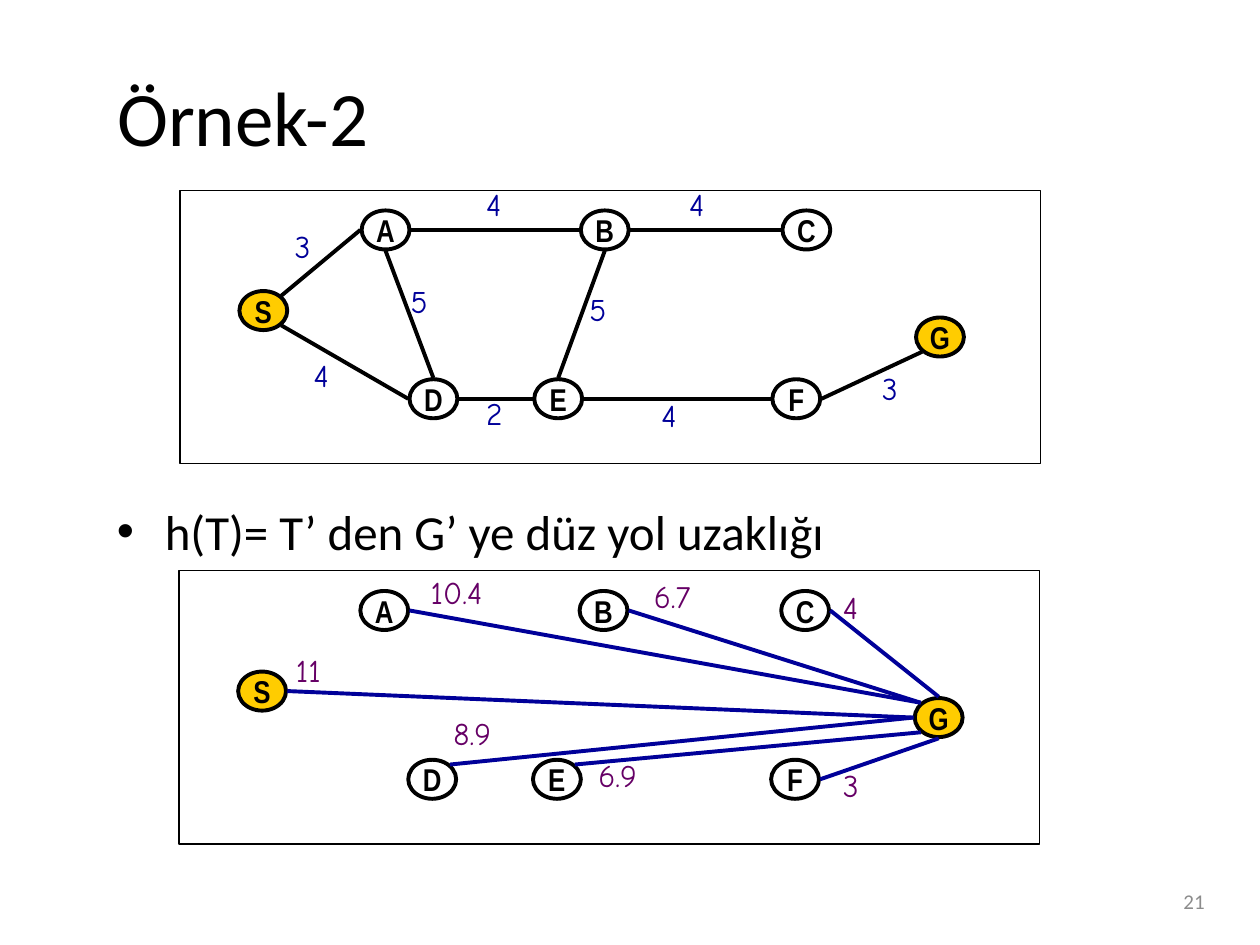
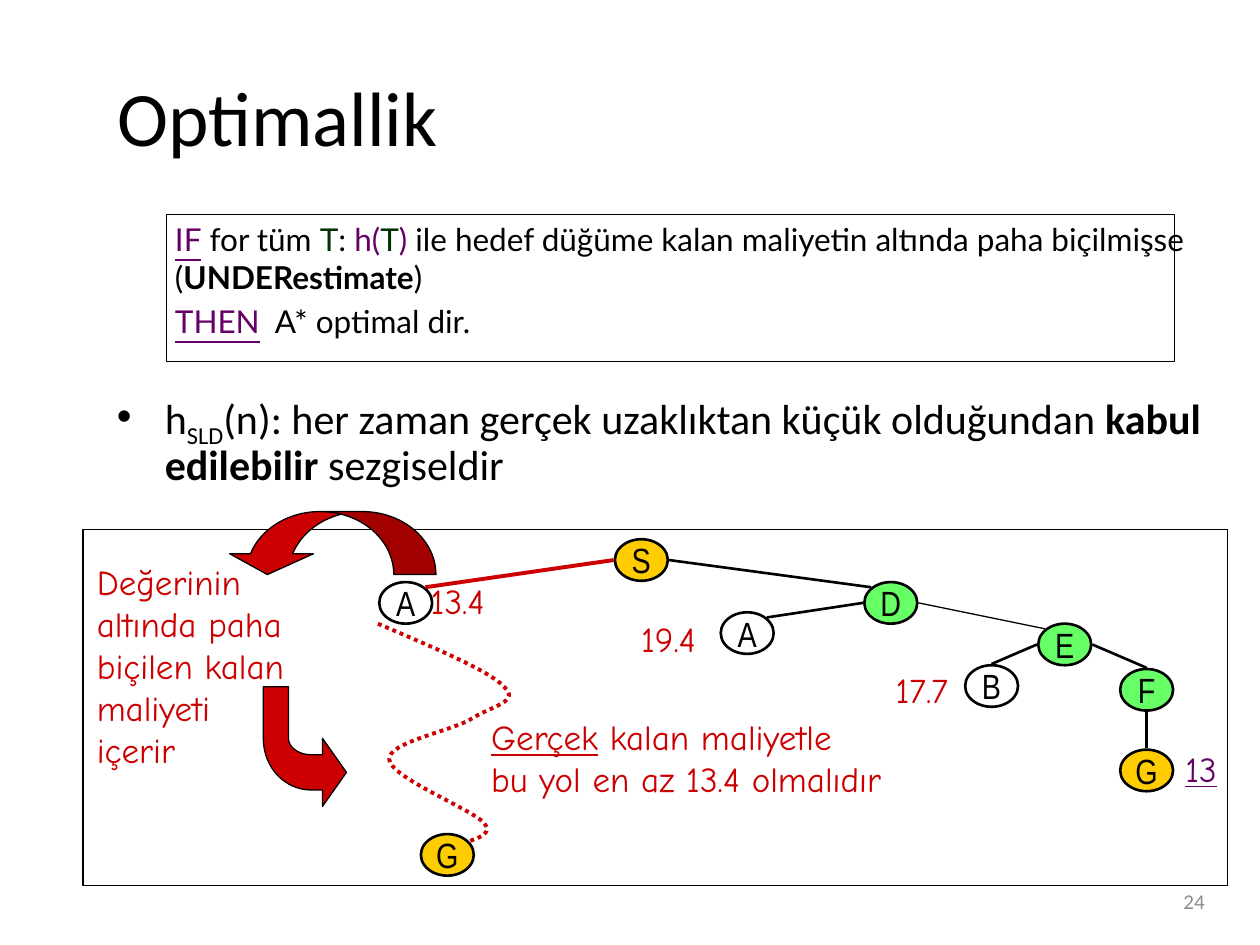
from dataclasses import dataclass, replace

from lxml import etree
from pptx import Presentation
from pptx.dml.color import RGBColor
from pptx.enum.dml import MSO_LINE
from pptx.enum.shapes import MSO_CONNECTOR, MSO_SHAPE
from pptx.enum.text import MSO_ANCHOR, MSO_AUTO_SIZE, PP_ALIGN
from pptx.oxml.ns import qn
from pptx.util import Emu, Inches, Pt

STRAIGHT = MSO_CONNECTOR.STRAIGHT
RECTANGLE, OVAL = MSO_SHAPE.RECTANGLE, MSO_SHAPE.OVAL
CURVED_ARROW = MSO_SHAPE.CURVED_UP_ARROW
DOTTED = MSO_LINE.ROUND_DOT
MIDDLE = MSO_ANCHOR.MIDDLE
LEFT, CENTER, RIGHT = PP_ALIGN.LEFT, PP_ALIGN.CENTER, PP_ALIGN.RIGHT
FIT_SHAPE = MSO_AUTO_SIZE.SHAPE_TO_FIT_TEXT

SLIDE_WIDTH, SLIDE_HEIGHT = Inches(10), Inches(7.5)
COLUMNS = 100
UNIT = SLIDE_WIDTH // COLUMNS


@dataclass(frozen=True)
class Style:
    size: float
    font: str
    color: str = "000000"
    bold: bool = False
    underline: bool = False
    baseline: int = 0


@dataclass(frozen=True)
class Theme:
    black: str = "000000"
    white: str = "FFFFFF"
    gold: str = "FFCC00"
    green: str = "66FF66"
    red: str = "CC0000"
    blue: str = "000099"
    purple: str = "660066"
    title: Style = Style(44, "Calibri")
    number: Style = Style(12, "Calibri", "8C8C8C")
    bullet: Style = Style(28, "Calibri")
    small_bullet: Style = Style(24, "Calibri")
    rule: Style = Style(18, "Lato")
    graph_node: Style = Style(18, "Arial Narrow", bold=True)
    tree_node: Style = Style(20, "Arial Narrow")
    distance: Style = Style(18, "Comic Neue", "000099")
    estimate: Style = Style(18, "Comic Neue", "660066")
    remark: Style = Style(20, "Comic Neue", "CC0000")


THEME = Theme()


@dataclass(frozen=True)
class Box:
    left: float
    top: float
    width: float
    height: float

    def inner(self, left, top, width, height):
        return Box(self.left + left, self.top + top, width, height)

    def point(self, x, y):
        return round((self.left + x) * UNIT), round((self.top + y) * UNIT)

    def place(self):
        return (*self.point(0, 0), round(self.width * UNIT), round(self.height * UNIT))


TITLE_BOX = Box(8.3, 2.9, 88.3, 12.5)
NUMBER_BOX = Box(73.3, 69.5, 23.3, 4)
SIDES = {
    "top": (0, -1), "left": (-1, 0), "bottom": (0, 1), "right": (1, 0),
    "upper left": (-0.71, -0.71), "upper right": (0.71, -0.71),
    "lower left": (-0.71, 0.71), "lower right": (0.71, 0.71),
}
GAP = 0.1

GRAPH_NODES = {
    "A": (16.3, 3.15), "B": (33.7, 3.15), "C": (49.7, 3.15),
    "S": (6.6, 9.55), "G": (60.3, 11.65),
    "D": (20.1, 16.55), "E": (30, 16.55), "F": (48.9, 16.55),
}
ROADS = [
    ("S", "lower right", "D", "left"), ("S", "upper right", "A", "left"),
    ("D", "right", "E", "left"), ("A", "right", "B", "left"),
    ("B", "right", "C", "left"), ("E", "right", "F", "left"),
    ("F", "right", "G", "lower left"), ("D", "top", "A", "bottom"),
    ("E", "top", "B", "bottom"),
]
ROAD_LENGTHS = [
    ("4", 23.3, -0.9), ("4", 9.6, 12.7), ("4", 37.2, 15.8), ("4", 39.4, -0.9),
    ("3", 8.1, 2.4), ("3", 54.7, 13.7), ("2", 23.3, 15.7), ("5", 17.3, 6.8),
    ("5", 31.5, 7.4),
]
FLIGHTS = [
    ("C", "right", "G", "top"), ("B", "right", "G", "upper left"),
    ("A", "right", "G", "upper left"), ("S", "right", "G", "left"),
    ("F", "right", "G", "bottom"), ("E", "upper right", "G", "lower left"),
    ("D", "upper right", "G", "left"),
]
FLIGHT_LENGTHS = [
    ("4", 51.7, 0.9), ("6.7", 36.7, 0), ("10.4", 19, -0.3), ("11", 8.3, 5.9),
    ("8.9", 20.8, 10.9), ("6.9", 32.3, 14.2), ("3", 51.7, 15),
]
TREE_NODES = {
    "S": (44.3, 2.45), "A": (25.6, 5.85), "D": (64.1, 5.85),
    "A lower": (52.7, 8.25), "E": (77.9, 9.15), "B": (72.1, 12.45),
    "F": (84.4, 12.75), "G": (84.4, 19.15), "G far": (28.9, 25.85),
}
BRANCHES = [
    ("S", "left", "A", "upper right", THEME.red, 2.25),
    ("S", "right", "D", "upper left", THEME.black, 1.5),
    ("D", "left", "A lower", "upper right", THEME.black, 1.5),
    ("D", "right", "E", "upper left", THEME.black, 0.75),
    ("E", "left", "B", "top", THEME.black, 1.5),
    ("E", "right", "F", "top", THEME.black, 1.5),
    ("F", "bottom", "G", "top", THEME.black, 1.5),
]
TREE_COSTS = [("13.4", 26.6, 3.5), ("19.4", 43.3, 6.5), ("17.7", 63.5, 10.6)]
REMAINING_PATH = [
    (23.4, 7.5), (27.8, 9.4, 32.2, 11.2, 33.4, 12.5),
    (34.7, 13.7, 32.5, 14, 30.9, 15), (29.4, 16, 24.1, 16.9, 24.3, 18.3),
    (24.4, 19.7, 30.8, 22.2, 31.8, 23.3), (32.8, 24.4, 30.4, 24.7, 30.1, 25),
]
BENT_ARROW = [
    (20.9, 19.3), (19, 22), (19, 20.7), (18.1, 20.7),
    (16, 20.7, 14.3, 18.9, 14.3, 16.6), (14.3, 12.5), (16.3, 12.5),
    (16.3, 16.6), (16.3, 17.3, 17.1, 17.9, 18.1, 17.9), (19, 17.9), (19, 16.6),
]


def add_run(paragraph, text, style):
    run = paragraph.add_run()
    run.text = text
    font = run.font
    font.size, font.name = Pt(style.size), style.font
    font.bold, font.underline = style.bold, style.underline
    font.color.rgb = RGBColor.from_string(style.color)
    if style.baseline:
        run._r.get_or_add_rPr().set("baseline", str(style.baseline * 1000))


def add_text(slide, box, paragraphs, wrap=True):
    shape = slide.shapes.add_textbox(*box.place())
    frame = shape.text_frame
    frame.word_wrap = wrap
    if not wrap:
        frame.auto_size = FIT_SHAPE
    for index, runs in enumerate(paragraphs):
        paragraph = frame.add_paragraph() if index else frame.paragraphs[0]
        for text, style in runs:
            add_run(paragraph, text, style)
    return frame


def paint(shape, fill=None, line=THEME.black, width=0.75):
    shape.shadow.inherit = False
    if fill:
        shape.fill.solid()
        shape.fill.fore_color.rgb = RGBColor.from_string(fill)
    else:
        shape.fill.background()
    shape.line.color.rgb = RGBColor.from_string(line)
    shape.line.width = Pt(width)
    return shape


def add_panel(slide, box):
    paint(slide.shapes.add_shape(RECTANGLE, *box.place()), THEME.white)


def add_node(slide, box, center, radii, label, style, fill, width):
    (x, y), (across, down) = center, radii
    place = box.inner(x - across, y - down, 2 * across, 2 * down).place()
    frame = paint(slide.shapes.add_shape(OVAL, *place), fill, width=width).text_frame
    frame.word_wrap = False
    frame.vertical_anchor = MIDDLE
    frame.paragraphs[0].alignment = CENTER
    add_run(frame.paragraphs[0], label, style)


def add_edge(slide, box, nodes, radii, edge, color, width):
    def anchor(name, side):
        return box.point(*(center + (radius + GAP) * share for center, radius, share
                           in zip(nodes[name], radii, SIDES[side])))

    start, start_side, end, end_side = edge
    connector = slide.shapes.add_connector(
        STRAIGHT, *anchor(start, start_side), *anchor(end, end_side))
    connector.line.color.rgb = RGBColor.from_string(color)
    connector.line.width = Pt(width)
    etree.SubElement(connector._element.spPr, qn("a:effectLst"))


def add_values(slide, box, values, style, height):
    for text, x, y in values:
        label_box = box.inner(x, y, 2.4 + 1.5 * len(text), height)
        add_text(slide, label_box, [[(text, style)]], wrap=False)


def add_outline(slide, box, steps, closed, curve_parts=16):
    current = steps[0]
    points = []
    for step in steps[1:]:
        if len(step) == 2:
            points.append(step)
        else:
            corners = [current, step[:2], step[2:4], step[4:]]
            for part in range(1, curve_parts + 1):
                t = part / curve_parts
                weights = ((1 - t) ** 3, 3 * t * (1 - t) ** 2, 3 * t * t * (1 - t), t ** 3)
                points.append(tuple(sum(w * corner[axis] for w, corner in zip(weights, corners))
                                    for axis in (0, 1)))
        current = step[-2:]
    builder = slide.shapes.build_freeform(*box.point(*steps[0]))
    builder.add_line_segments([box.point(*point) for point in points], close=closed)
    return builder.convert_to_shape(Emu(0), Emu(0))


def add_titled_slide(presentation, title, number):
    slide = presentation.slides.add_slide(presentation.slide_layouts[5])
    heading = slide.shapes.title
    heading.left, heading.top, heading.width, heading.height = TITLE_BOX.place()
    heading.text_frame.vertical_anchor = MIDDLE
    heading.text_frame.paragraphs[0].alignment = LEFT
    add_run(heading.text_frame.paragraphs[0], title, THEME.title)
    frame = add_text(slide, NUMBER_BOX, [[(number, THEME.number)]])
    frame.vertical_anchor = MIDDLE
    frame.paragraphs[0].alignment = RIGHT
    return slide


def add_bullet(slide, box, runs, spacing=1.0):
    paragraph = add_text(slide, box, [runs]).paragraphs[0]
    paragraph.line_spacing = spacing
    properties = paragraph._p.get_or_add_pPr()
    properties.set("marL", str(Inches(0.38)))
    properties.set("indent", str(-Inches(0.38)))
    etree.SubElement(properties, qn("a:buFont")).set("typeface", "Arial")
    etree.SubElement(properties, qn("a:buChar")).set("char", "•")


def add_graph(slide, box, edges, values, edge_color, value_style):
    radii = (1.9, 1.55)
    add_panel(slide, box)
    for name, center in GRAPH_NODES.items():
        fill = THEME.gold if name in "SG" else THEME.white
        add_node(slide, box, center, radii, name, THEME.graph_node, fill, 2.25)
    for edge in edges:
        add_edge(slide, box, GRAPH_NODES, radii, edge, edge_color, 2.25)
    add_values(slide, box, values, value_style, 5)


def add_rule(slide, box):
    plain = THEME.rule
    purple = replace(plain, color=THEME.purple)
    keyword = replace(purple, underline=True)
    state = replace(plain, color="003300")
    add_panel(slide, box)
    frame = add_text(slide, box.inner(-0.3, 0, 82.9, 11), [
        [("IF", keyword), (" for tüm ", plain), ("T", state), (": ", plain),
         ("h(", purple), ("T", state), (") ", purple),
         ("ile hedef düğüme kalan maliyetin altında paha biçilmişse (", plain),
         ("UNDERestimate", replace(plain, bold=True)), (")", plain)],
        [("THEN", keyword), ("  A* optimal dir.", plain)],
    ])
    frame.paragraphs[1].space_before = Pt(3.6)


def add_search_tree(slide, box):
    radii = (2.1, 1.65)
    remark = THEME.remark
    fills = {**dict.fromkeys("SG", THEME.gold), **dict.fromkeys("DEF", THEME.green)}
    add_panel(slide, box)
    remaining = paint(add_outline(slide, box, REMAINING_PATH, False), line=THEME.red, width=2.25)
    remaining.line.dash_style = DOTTED
    for name, center in TREE_NODES.items():
        add_node(slide, box, center, radii, name[0], THEME.tree_node,
                 fills.get(name[0], THEME.white), 1.5)
    for *edge, color, width in BRANCHES:
        add_edge(slide, box, TREE_NODES, radii, edge, color, width)
    add_values(slide, box, TREE_COSTS, remark, 4.3)
    add_values(slide, box, [("13", 86.5, 16.8)],
               replace(remark, color=THEME.purple, underline=True), 4.3)
    lines = ["Değerinin", "altında paha", "biçilen kalan", "maliyeti", "içerir"]
    add_text(slide, box.inner(0.1, 2, 18.4, 17.7), [[(line, remark)] for line in lines], wrap=False)
    add_text(slide, box.inner(31.4, 14.3, 35.3, 7.7), [
        [("Gerçek", replace(remark, underline=True)), (" kalan maliyetle", remark)],
        [("bu yol en az 13.4 olmalıdır", remark)],
    ], wrap=False)
    arrow = slide.shapes.add_shape(CURVED_ARROW, *box.inner(11.3, -1.4, 16.7, 5).place())
    arrow.rotation = 180
    for index, share in enumerate((0.67, 1.33, 0.33)):
        arrow.adjustments[index] = share
    paint(arrow, THEME.red)
    paint(add_outline(slide, box, BENT_ARROW, True), THEME.red)


def build_example(presentation):
    slide = add_titled_slide(presentation, "Örnek-2", "21")
    add_bullet(slide, Box(8.3, 39.3, 88.3, 5.7),
               [("h(T)= T’ den G’ ye düz yol uzaklığı", THEME.bullet)])
    add_graph(slide, Box(14.3, 15.1, 68.3, 21.7), ROADS, ROAD_LENGTHS, THEME.black, THEME.distance)
    add_graph(slide, Box(14.2, 45.3, 68.3, 21.7), FLIGHTS, FLIGHT_LENGTHS, THEME.blue, THEME.estimate)


def build_optimality(presentation):
    slide = add_titled_slide(presentation, "Optimallik", "24")
    plain = THEME.small_bullet
    add_bullet(slide, Box(8.3, 30.7, 88.3, 8.5), [
        ("h", plain), ("SLD", replace(plain, baseline=-25)),
        ("(n): her zaman gerçek uzaklıktan küçük olduğundan ", plain),
        ("kabul edilebilir ", replace(plain, bold=True)), ("sezgiseldir", plain),
    ], spacing=0.9)
    add_rule(slide, Box(13.2, 17, 80, 11.7))
    add_search_tree(slide, Box(6.6, 42, 90.8, 28.3))


def main():
    presentation = Presentation()
    presentation.slide_width, presentation.slide_height = SLIDE_WIDTH, SLIDE_HEIGHT
    build_example(presentation)
    build_optimality(presentation)
    presentation.save("out.pptx")


if __name__ == "__main__":
    main()
